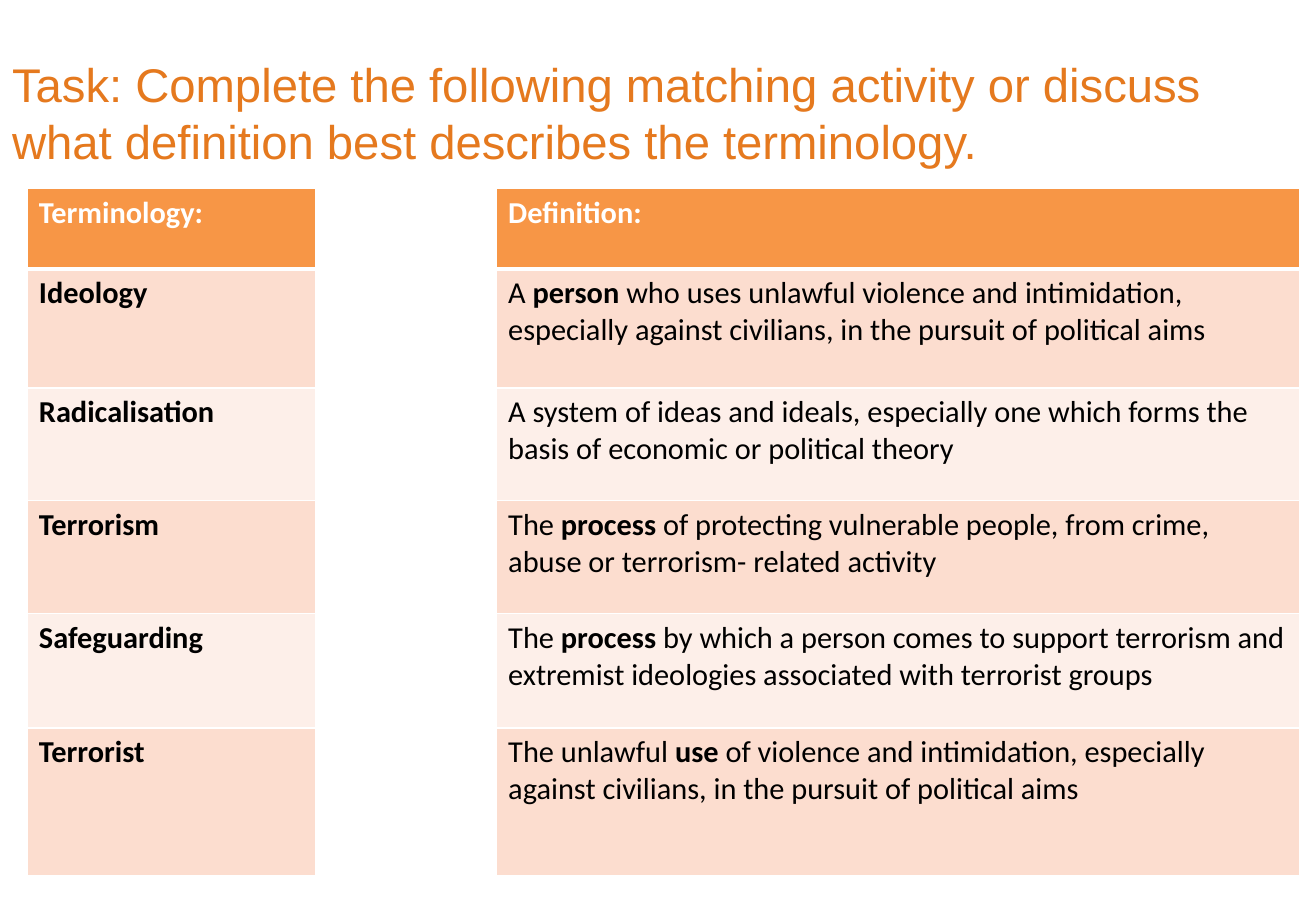
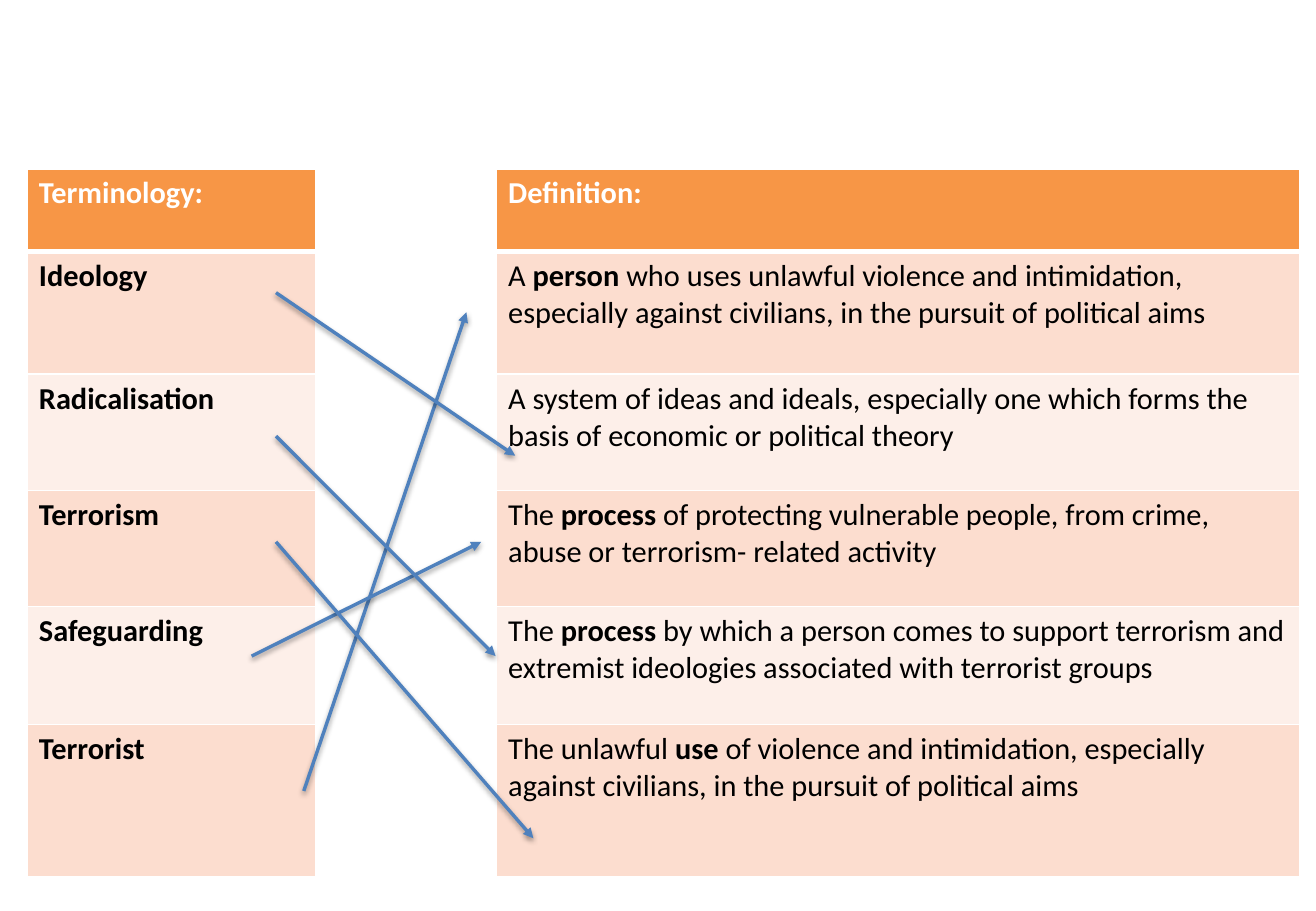
from lxml.etree import SubElement
from pptx import Presentation
from pptx.dml.color import RGBColor
from pptx.enum.shapes import MSO_CONNECTOR
from pptx.enum.text import MSO_ANCHOR, MSO_AUTO_SIZE, PP_ALIGN
from pptx.oxml import parse_xml
from pptx.oxml.ns import nsdecls, qn
from pptx.util import Cm, Pt

COLORS = {
    "title": "E5791E",
    "header": "F79646",
    "odd_row": "FCDDCF",
    "even_row": "FDEFE9",
    "border": "FFFFFF",
    "header_text": "FFFFFF",
    "text": "000000",
    "arrow": "4F81BD",
}
TITLE_FONT = {"name": "Arial", "size": Pt(28), "bold": False}
TABLE_FONT = {"name": "Calibri", "size": Pt(18)}
TITLE_ONLY, BLANK = 5, 6

TASK = ("Task: Complete the following matching activity or discuss "
        "what definition best describes the terminology. ")
# Asterisks enclose the bold words.
GLOSSARY = [
    ("*Terminology:*", "*Definition: *"),
    ("*Ideology*", "A *person* who uses unlawful violence and intimidation, "
     "especially against civilians, in the pursuit of political aims"),
    ("*Radicalisation *", "A system of ideas and ideals, especially one which "
     "forms the basis of economic or political theory"),
    ("*Terrorism*", "The *process* of protecting vulnerable people, from crime, "
     "abuse or terrorism- related activity"),
    ("*Safeguarding*", "The *process* by which a person comes to support "
     "terrorism and extremist ideologies associated with terrorist groups"),
    ("*Terrorist*", "The unlawful *use* of violence and intimidation, especially "
     "against civilians, in the pursuit of political aims"),
]
COLUMN_WIDTHS = [6.05, 3.76, 16.79]
ROW_HEIGHTS = [1.68, 2.49, 2.36, 2.36, 2.39, 3.1]

# Start and end of the arrow from each term to its definition.
MATCHES = {
    "Terrorist": ((6.35, 16.54), (9.75, 6.53)),
    "Ideology": ((5.77, 6.12), (10.77, 9.53)),
    "Safeguarding": ((5.26, 13.72), (10.06, 11.33)),
    "Terrorism": ((5.77, 11.33), (11.15, 17.53)),
    "Radicalisation": ((5.77, 9.12), (10.36, 13.72)),
}


def apply(target, values):
    """Set each named attribute of the target."""
    for name, value in values.items():
        setattr(target, name, value)


def rgb(key):
    """Return the named colour."""
    return RGBColor.from_string(COLORS[key])


class Deck:
    """Holds the presentation, its style and the current slide."""

    def __init__(self, width, height):
        """Start an empty presentation of the given size in cm."""
        self.show = Presentation()
        apply(self.show, {"slide_width": Cm(width), "slide_height": Cm(height)})
        self.slide = None

    def new_slide(self, layout):
        """Add a slide and make it the current one."""
        self.slide = self.show.slides.add_slide(self.show.slide_layouts[layout])

    def title(self, text):
        """Fill and place the title placeholder."""
        heading = self.slide.shapes.title
        apply(heading, {"left": Cm(0), "top": Cm(0.76),
                        "width": Cm(27.15), "height": Cm(3.18)})
        frame = heading.text_frame
        frame.text = text
        apply(frame, {"word_wrap": True, "auto_size": MSO_AUTO_SIZE.NONE,
                      "vertical_anchor": MSO_ANCHOR.MIDDLE})
        line = frame.paragraphs[0]
        line.alignment = PP_ALIGN.LEFT
        apply(line.font, TITLE_FONT)
        line.font.color.rgb = rgb("title")

    def cell_text(self, cell, text, color):
        """Put text in a cell, with bold between asterisks."""
        line = cell.text_frame.paragraphs[0]
        for index, part in enumerate(text.split("*")):
            if part:
                run = line.add_run()
                run.text = part
                apply(run.font, {**TABLE_FONT, "bold": index % 2 == 1})
                run.font.color.rgb = rgb(color)

    def borders(self, cell, top, bottom):
        """Draw the four cell borders, with top and bottom widths in points."""
        properties = cell._tc.get_or_add_tcPr()
        widths = {"lnL": 1, "lnR": 1, "lnT": top, "lnB": bottom}
        for position, (side, width) in enumerate(widths.items()):
            properties.insert(position, parse_xml(
                f'<a:{side} {nsdecls("a")} w="{Pt(width)}"><a:solidFill>'
                f'<a:srgbClr val="{COLORS["border"]}"/></a:solidFill></a:{side}>'))

    def glossary(self, top, stretch=1.0):
        """Add the table of terms and definitions, rows stretched by a factor."""
        heights = [height * stretch for height in ROW_HEIGHTS]
        table = self.slide.shapes.add_table(
            len(heights), len(COLUMN_WIDTHS), Cm(0.56), Cm(top),
            Cm(sum(COLUMN_WIDTHS)), Cm(sum(heights))).table
        for column, width in zip(table.columns, COLUMN_WIDTHS):
            column.width = Cm(width)
        for number, (term, definition) in enumerate(GLOSSARY):
            table.rows[number].height = Cm(heights[number])
            row_fill = "odd_row" if number % 2 else "even_row"
            fill = row_fill if number else "header"
            color = "text" if number else "header_text"
            for column, text in enumerate((term, "", definition)):
                cell = table.cell(number, column)
                if text:
                    cell.fill.solid()
                    cell.fill.fore_color.rgb = rgb(fill)
                    self.cell_text(cell, text, color)
                else:
                    cell.fill.background()
                self.borders(cell, 3 if number == 1 else 1, 1 if number else 3)

    def arrow(self, start, end):
        """Draw a shadowed arrow between two points in cm."""
        arrow = self.slide.shapes.add_connector(
            MSO_CONNECTOR.STRAIGHT, *(Cm(value) for value in start + end))
        arrow.line.width = Pt(2)
        arrow.line.color.rgb = rgb("arrow")
        SubElement(arrow.line._get_or_add_ln(), qn("a:tailEnd"), type="triangle")
        arrow._element.spPr.append(parse_xml(
            f'<a:effectLst {nsdecls("a")}><a:outerShdw blurRad="40000" '
            'dist="20000" dir="5400000" rotWithShape="0"><a:srgbClr val="000000">'
            '<a:alpha val="38000"/></a:srgbClr></a:outerShdw></a:effectLst>'))


def main():
    """Build the task slide and the answer slide."""
    deck = Deck(27.51, 19.05)
    deck.new_slide(TITLE_ONLY)
    deck.title(TASK)
    deck.glossary(top=3.94)

    deck.new_slide(BLANK)
    deck.glossary(top=3.53, stretch=1.03)
    for start, end in MATCHES.values():
        deck.arrow(start, end)
    deck.show.save("out.pptx")


main()
